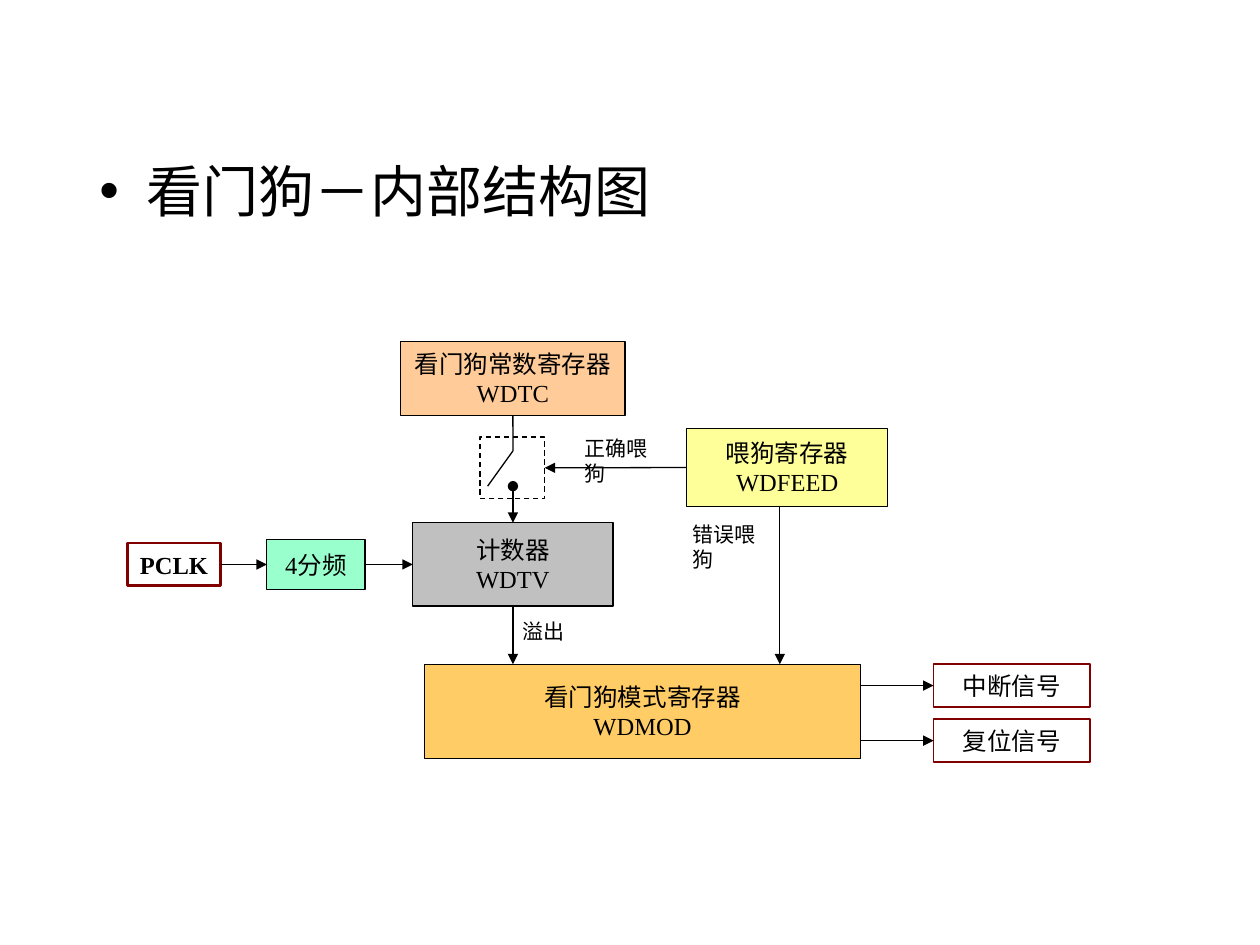
"""Build the slide showing the internal structure of a watchdog timer."""
from dataclasses import dataclass
from typing import Optional, Union

from pptx import Presentation
from pptx.dml.color import RGBColor
from pptx.enum.dml import MSO_LINE_DASH_STYLE as Dash
from pptx.enum.shapes import MSO_CONNECTOR as Link, MSO_SHAPE as Preset
from pptx.enum.text import MSO_ANCHOR as Anchor, MSO_AUTO_SIZE as AutoSize, PP_ALIGN as Align
from pptx.oxml.ns import qn
from pptx.oxml.xmlchemy import OxmlElement
from pptx.shapes.autoshape import Shape
from pptx.slide import Slide
from pptx.util import Cm, Pt


@dataclass(frozen=True)
class Theme:
    """Colours, font and type sizes of the slide."""
    font: str = "Times New Roman"
    ink: str = "000000"
    signal: str = "800000"
    mint: str = "99FFCC"
    yellow: str = "FFFF99"
    peach: str = "FFCC99"
    grey: str = "C0C0C0"
    amber: str = "FFCC66"
    heading_size: float = 32
    box_size: float = 14
    label_size: float = 12
    thin: float = 0.75


THEME = Theme()


@dataclass(frozen=True)
class Box:
    """A block of the diagram, measured in centimetres."""
    name: str
    left: float
    top: float
    width: float
    height: float
    text: str = ""
    fill: Optional[str] = None
    outline: str = THEME.ink
    weight: float = THEME.thin
    bold: bool = False
    dashed: bool = False


@dataclass(frozen=True)
class Joint:
    """The middle of one side of a named box."""
    box: str
    side: int


@dataclass(frozen=True)
class Point:
    """A free line end, measured in centimetres."""
    x: float
    y: float


@dataclass(frozen=True)
class Wire:
    """A straight line between two ends."""
    start: Union[Joint, Point]
    end: Union[Joint, Point]
    head: Optional[str] = None
    tail: Optional[str] = "triangle"


@dataclass(frozen=True)
class Label:
    """A caption beside a wire, measured in centimetres."""
    text: str
    left: float
    top: float
    width: float


TOP, LEFT, BOTTOM, RIGHT = range(4)
AXIS = 10.34
HINGE = Point(AXIS, 9.09)
CONTACT = Point(AXIS, 9.8)

BOXES = [
    Box("interrupt", 18.82, 13.39, 3.15, 0.86, "中断信号", outline=THEME.signal, weight=1),
    Box("reset", 18.82, 14.5, 3.15, 0.86, "复位信号", outline=THEME.signal, weight=1),
    Box("divider", 5.38, 10.87, 1.98, 1.02, "4分频", THEME.mint),
    Box("feed", 13.84, 8.64, 4.06, 1.57, "喂狗寄存器\nWDFEED", THEME.yellow),
    Box("clock", 2.57, 10.95, 1.88, 0.86, "PCLK", outline=THEME.signal, weight=1.5, bold=True),
    Box("constant", 8.08, 6.88, 4.52, 1.5, "看门狗常数寄存器\nWDTC", THEME.peach),
    Box("switch", 9.68, 8.81, 1.3, 1.24, dashed=True),
    Box("counter", 8.32, 10.54, 4.04, 1.68, "计数器\nWDTV", THEME.grey),
    Box("mode", 8.56, 13.39, 8.79, 1.9, "看门狗模式寄存器\nWDMOD", THEME.amber),
]

WIRES = [
    Wire(Point(17.35, 13.82), Joint("interrupt", LEFT)),
    Wire(Point(17.35, 14.93), Joint("reset", LEFT)),
    Wire(CONTACT, Joint("counter", TOP), head="oval"),
    Wire(Joint("constant", BOTTOM), HINGE, tail=None),
    Wire(HINGE, Point(9.83, 9.8), tail=None),
    Wire(Joint("feed", LEFT), Joint("switch", RIGHT)),
    Wire(Point(15.72, 10.21), Point(15.72, 13.39)),
    Wire(Joint("counter", BOTTOM), Point(AXIS, 13.39)),
    Wire(Joint("divider", RIGHT), Joint("counter", LEFT)),
    Wire(Joint("clock", RIGHT), Joint("divider", LEFT)),
]

LABELS = [
    Label("正确喂狗", 11.53, 8.66, 2.18),
    Label("错误喂狗", 13.72, 10.39, 2.18),
    Label("溢出", 10.29, 12.34, 1.35),
]


def write(shape: Shape, text: str, size: float, align: Align, bold: bool = False) -> None:
    """Fill a shape with text and format every run."""
    frame = shape.text_frame
    frame.text = text
    for para in frame.paragraphs:
        para.alignment = align
        for span in para.runs:
            span.font.name = THEME.font
            span.font.size = Pt(size)
            span.font.bold = bold
            span.font.color.rgb = RGBColor.from_string(THEME.ink)


def draw_heading(page: Slide, text: str) -> None:
    """Put the bulleted heading into the body placeholder."""
    title = page.shapes.title
    title.element.getparent().remove(title.element)
    body = page.placeholders[1]
    body.left, body.top, body.width, body.height = Cm(1.75), Cm(3.02), Cm(21.59), Cm(1.7)
    write(body, text, THEME.heading_size, Align.LEFT)
    body.text_frame.auto_size = AutoSize.NONE
    body.text_frame.paragraphs[0].space_before = Pt(8)


def draw_box(page: Slide, box: Box) -> Shape:
    """Draw one block with its centred text."""
    shape = page.shapes.add_shape(
        Preset.RECTANGLE, Cm(box.left), Cm(box.top), Cm(box.width), Cm(box.height))
    shape.shadow.inherit = False
    if box.fill:
        shape.fill.solid()
        shape.fill.fore_color.rgb = RGBColor.from_string(box.fill)
    else:
        shape.fill.background()
    shape.line.color.rgb = RGBColor.from_string(box.outline)
    shape.line.width = Pt(box.weight)
    if box.dashed:
        shape.line.dash_style = Dash.DASH
    if box.text:
        shape.text_frame.word_wrap = False
        shape.text_frame.vertical_anchor = Anchor.MIDDLE
        write(shape, box.text, THEME.box_size, Align.CENTER, box.bold)
    return shape


def draw_wire(page: Slide, wire: Wire, blocks: dict[str, Shape]) -> None:
    """Draw one line, joined to boxes where its ends are joints."""
    start, end = (Point(0, 0) if isinstance(stop, Joint) else stop
                  for stop in (wire.start, wire.end))
    line = page.shapes.add_connector(
        Link.STRAIGHT, Cm(start.x), Cm(start.y), Cm(end.x), Cm(end.y))
    for stop, connect in ((wire.start, line.begin_connect), (wire.end, line.end_connect)):
        if isinstance(stop, Joint):
            connect(blocks[stop.box], stop.side)
    line.line.color.rgb = RGBColor.from_string(THEME.ink)
    line.line.width = Pt(THEME.thin)
    properties = line.element.spPr
    for tag, kind in (("a:headEnd", wire.head), ("a:tailEnd", wire.tail)):
        if kind:
            marker = OxmlElement(tag)
            marker.set("type", kind)
            properties.find(qn("a:ln")).append(marker)
    properties.append(OxmlElement("a:effectLst"))


def draw_label(page: Slide, label: Label) -> None:
    """Draw one caption."""
    box = page.shapes.add_textbox(Cm(label.left), Cm(label.top), Cm(label.width), Cm(0.76))
    box.text_frame.word_wrap = False
    write(box, label.text, THEME.label_size, Align.LEFT)


def main() -> None:
    """Build and save the deck."""
    deck = Presentation()
    deck.slide_width, deck.slide_height = Cm(25.4), Cm(19.05)
    page = deck.slides.add_slide(deck.slide_layouts[1])
    draw_heading(page, "看门狗－内部结构图")
    blocks = {box.name: draw_box(page, box) for box in BOXES}
    for wire in WIRES:
        draw_wire(page, wire, blocks)
    for label in LABELS:
        draw_label(page, label)
    deck.save("out.pptx")


if __name__ == "__main__":
    main()
